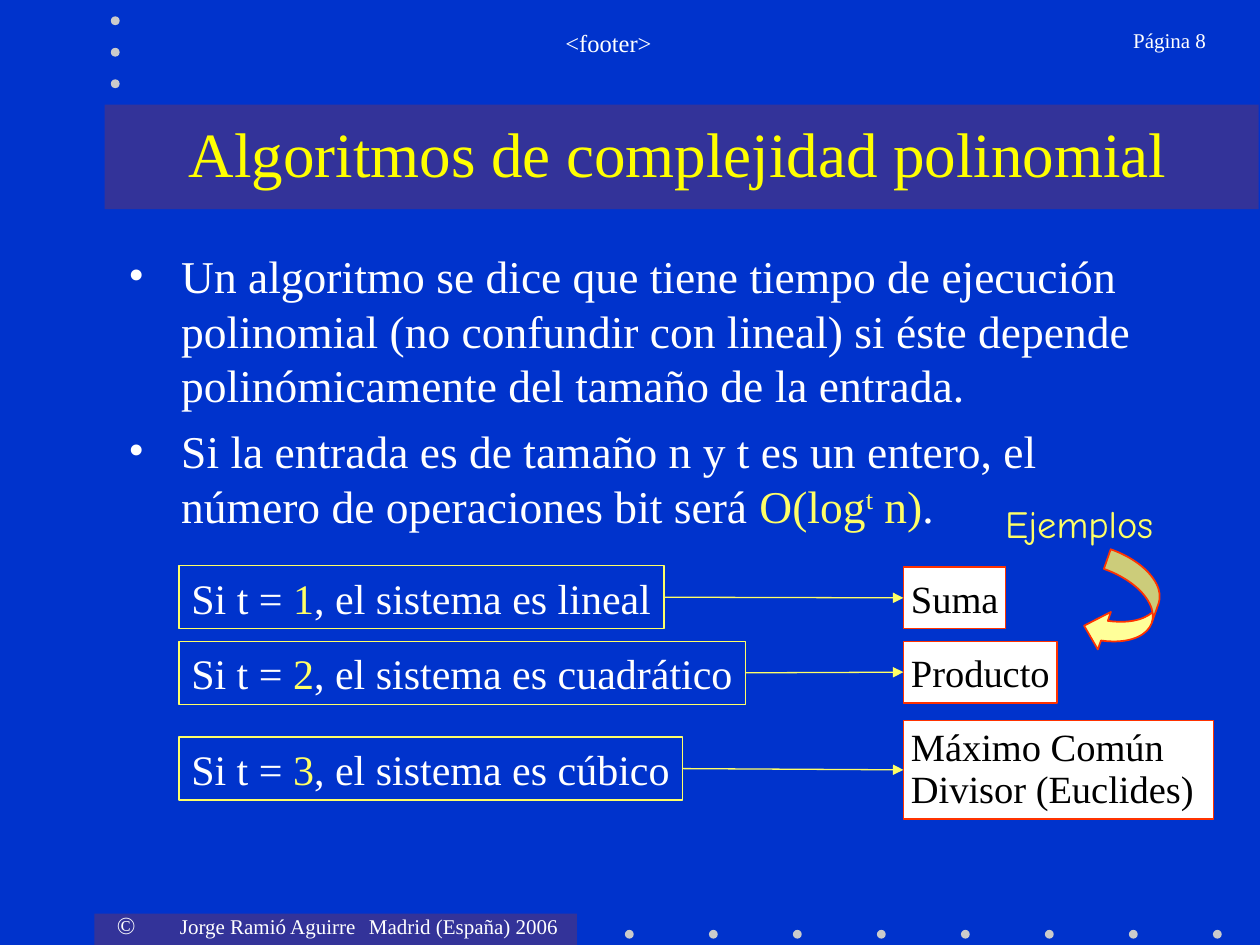
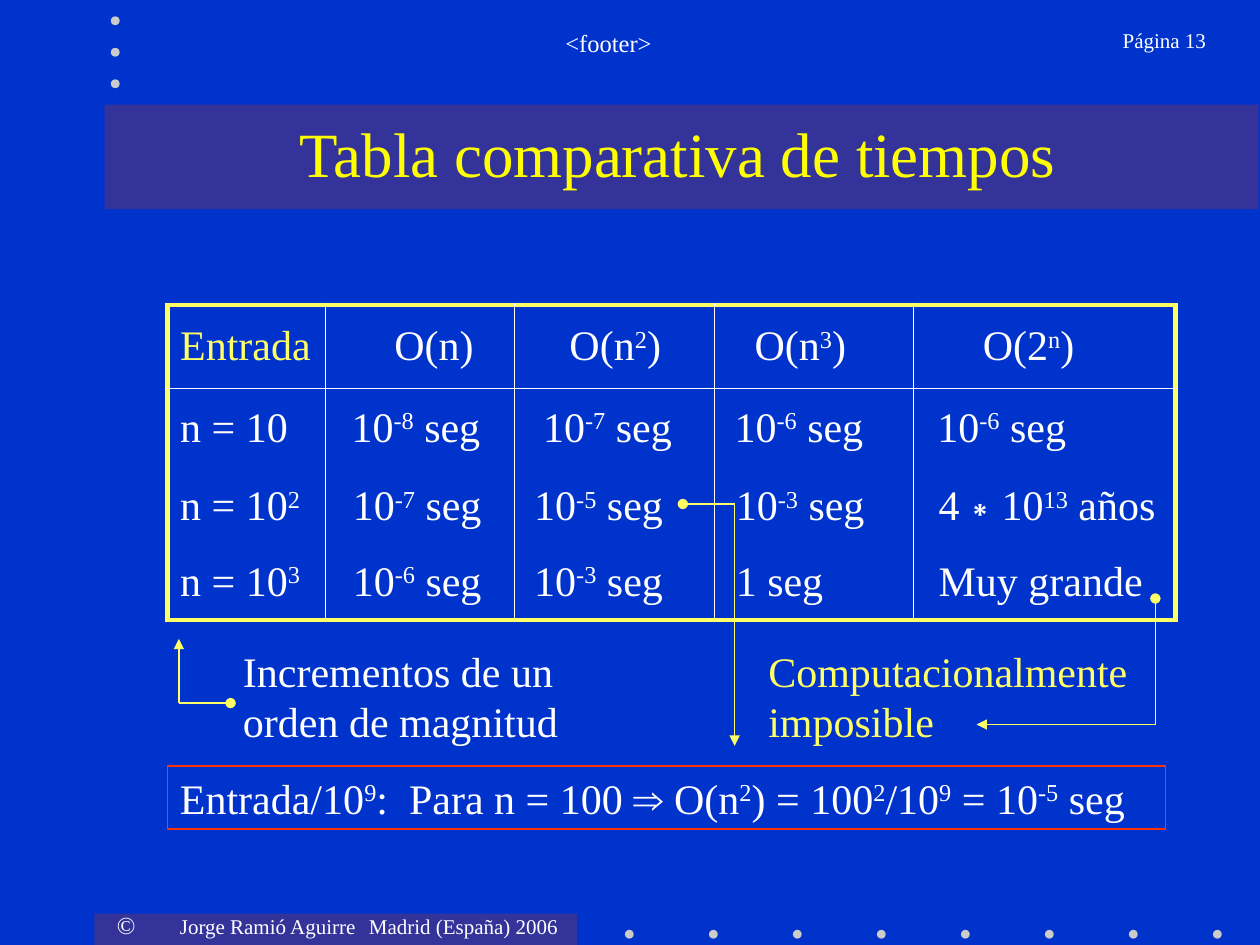
from dataclasses import dataclass
from typing import Optional

import lxml.etree
import pptx
import pptx.dml.color
import pptx.enum.shapes
import pptx.enum.text
import pptx.oxml.ns
import pptx.util

Inches = pptx.util.Inches
Pt = pptx.util.Pt
Shape = pptx.enum.shapes.MSO_SHAPE
Align = pptx.enum.text.PP_ALIGN
Anchor = pptx.enum.text.MSO_ANCHOR
qn = pptx.oxml.ns.qn

BLUE, BAND, DOT = "0033CC", "333399", "CBCBCB"
WHITE, BLACK, RED = "FFFFFF", "000000", "FF3300"
YELLOW, TITLE_YELLOW, ARROW_YELLOW = "FFFF66", "FFFF00", "FFFF99"
SERIF, SYMBOL, COMIC = "Times New Roman", "Arial", "Comic Neue"


@dataclass(frozen=True)
class Span:
    """Text in which ^...^ marks a superscript; unset fields follow the style."""
    text: str
    colour: Optional[str] = None
    font: Optional[str] = None
    size: Optional[float] = None


@dataclass(frozen=True)
class Style:
    size: float = 24
    colour: str = WHITE
    font: str = SERIF
    align: Align = Align.LEFT
    anchor: Anchor = Anchor.TOP
    insets: tuple = (0.1, 0.05, 0.1, 0.05)
    wrap: bool = True
    line_spacing: Optional[float] = None


@dataclass(frozen=True)
class Case:
    degree: str
    kind: str
    box: tuple
    example: list
    example_box: tuple


@dataclass(frozen=True)
class TimeRow:
    height: float
    cells: list
    insets: tuple


def rgb(colour: str) -> pptx.dml.color.RGBColor:
    return pptx.dml.color.RGBColor.from_string(colour)


def add_xml(parent, tag: str, **attributes: str):
    child = lxml.etree.SubElement(parent, qn(tag))
    for name, value in attributes.items():
        child.set(name, value)
    return child


# Text

def set_font(font, name: str, size: float, colour: str) -> None:
    font.name, font.size = name, Pt(size)
    font.color.rgb = rgb(colour)


def write_paragraph(para, spans: list, style: Style) -> None:
    para.alignment = style.align
    if style.line_spacing:
        para.line_spacing = style.line_spacing
    set_font(para.font, style.font, style.size, style.colour)
    for span in spans:
        for index, piece in enumerate(span.text.split("^")):
            if not piece:
                continue
            run = para.add_run()
            run.text = piece
            set_font(run.font, span.font or style.font, span.size or style.size,
                     span.colour or style.colour)
            if index % 2:
                run._r.get_or_add_rPr().set("baseline", "30000")


def write_text(shape, paragraphs: list, style: Style) -> None:
    frame = shape.text_frame
    frame.word_wrap = style.wrap
    frame.vertical_anchor = style.anchor
    (frame.margin_left, frame.margin_top,
     frame.margin_right, frame.margin_bottom) = map(Inches, style.insets)
    for index, spans in enumerate(paragraphs):
        para = frame.add_paragraph() if index else frame.paragraphs[0]
        write_paragraph(para, spans, style)


def add_text(page, box: tuple, paragraphs: list, style: Style):
    shape = page.shapes.add_textbox(*map(Inches, box))
    write_text(shape, paragraphs, style)
    return shape


def indent(para, left: float, first: float):
    properties = para._p.get_or_add_pPr()
    properties.set("marL", str(Inches(left)))
    properties.set("indent", str(Inches(first)))
    return properties


def add_bullet(para) -> None:
    para.space_before = Pt(6.5)
    properties = indent(para, 0.42, -0.42)
    defaults = properties.find(qn("a:defRPr"))
    add_xml(add_xml(properties, "a:buClr"), "a:srgbClr", val=WHITE)
    add_xml(properties, "a:buFont", typeface=SERIF)
    add_xml(properties, "a:buChar", char="•")
    properties.append(defaults)


def add_tabs(para, stops: tuple) -> None:
    properties = para._p.get_or_add_pPr()
    defaults = properties.find(qn("a:defRPr"))
    tabs = add_xml(properties, "a:tabLst")
    for stop in stops:
        add_xml(tabs, "a:tab", pos=str(Inches(stop)), algn="l")
    properties.append(defaults)


# Shapes and lines

def add_shape(page, kind: Shape, box: tuple, fill: Optional[str] = None,
              line: Optional[str] = None, width: float = 0.75):
    shape = page.shapes.add_shape(kind, *map(Inches, box))
    shape.shadow.inherit = False
    if fill:
        shape.fill.solid()
        shape.fill.fore_color.rgb = rgb(fill)
    else:
        shape.fill.background()
    if line:
        shape.line.color.rgb = rgb(line)
        shape.line.width = Pt(width)
    else:
        shape.line.fill.background()
    return shape


def add_line(page, start: tuple, end: tuple, head: str = "", tail: str = ""):
    line = page.shapes.add_connector(pptx.enum.shapes.MSO_CONNECTOR.STRAIGHT,
                                     *map(Inches, start + end))
    line.line.color.rgb = rgb(YELLOW)
    line.line.width = Pt(0.75)
    outline = line.line._get_or_add_ln()
    for tag, kind in (("a:headEnd", head), ("a:tailEnd", tail)):
        if kind:
            add_xml(outline, tag, type=kind)
    add_xml(line._element.spPr, "a:effectLst")
    return line


def add_bent_arrow(page, start: tuple, corner: tuple, end: tuple) -> None:
    add_line(page, start, corner, head="oval")
    add_line(page, corner, end, tail="triangle")


# Parts shared by the slides

def add_page(deck, title: str, number: int):
    page = deck.slides.add_slide(deck.slide_layouts[6])
    page.background.fill.solid()
    page.background.fill.fore_color.rgb = rgb(BLUE)
    add_shape(page, Shape.RECTANGLE, (0.75, 7.25, 3.83, 0.25), BAND)
    add_shape(page, Shape.RECTANGLE, (0.83, 0.83, 9.16, 0.83), BAND)
    dots = [(4.96 + column * 2 / 3, 7.38) for column in range(8)]
    dots += [(0.88, 0.13 + row * 0.25) for row in range(3)]
    for left, top in dots:
        add_shape(page, Shape.OVAL, (left, top, 0.07, 0.07), DOT)

    credit = add_text(page, (0.72, 7.17, 3.85, 0.34),
                      [[Span("©", size=14),
                        Span("\tJorge Ramió Aguirre\tMadrid (España) 2006")]],
                      Style(12, insets=(0.1, 0.05, 0, 0.05), wrap=False))
    credit_para = credit.text_frame.paragraphs[0]
    indent(credit_para, 0.11, 0)
    add_tabs(credit_para, (0.33, 2.14))
    add_text(page, (1.58, 0.17, 6.5, 0.5), [[Span("<footer>")]],
             Style(14, align=Align.CENTER))
    add_text(page, (8.3, 0.17, 1.37, 0.5), [[Span(f"Página {number}")]],
             Style(12, align=Align.RIGHT))
    add_text(page, (0.92, 0.83, 8.92, 0.75), [[Span(title)]],
             Style(36, TITLE_YELLOW, align=Align.CENTER, anchor=Anchor.MIDDLE))
    return page


# Slide: polynomial algorithms

CASES = [
    Case("1", "lineal", (1.42, 4.49, 3.85, 0.5), ["Suma"], (7.17, 4.5, 0.81, 0.49)),
    Case("2", "cuadrático", (1.42, 5.09, 4.5, 0.5), ["Producto"],
         (7.17, 5.09, 1.22, 0.49)),
    Case("3", "cúbico", (1.42, 5.85, 4, 0.5), ["Máximo Común", "Divisor (Euclides)"],
         (7.17, 5.72, 2.46, 0.78)),
]


def add_case(page, case: Case) -> None:
    label = add_shape(page, Shape.RECTANGLE, case.box, line=YELLOW)
    write_text(label, [[Span("Si t = "), Span(case.degree, YELLOW),
                        Span(f", el sistema es {case.kind}")]],
               Style(anchor=Anchor.MIDDLE, wrap=False))
    example = add_shape(page, Shape.RECTANGLE, case.example_box, WHITE, RED)
    several = len(case.example) > 1
    write_text(example, [[Span(text)] for text in case.example],
               Style(22, BLACK, anchor=Anchor.MIDDLE, wrap=several,
                     insets=(0.06, 0.06, 0.02 if several else 0.06, 0.06),
                     line_spacing=0.9 if several else None))
    arrow = add_line(page, (0, 0), (1, 1), tail="triangle")
    arrow.begin_connect(label, 3)
    arrow.end_connect(example, 1)


def build_polynomial_page(deck) -> None:
    page = add_page(deck, "Algoritmos de complejidad polinomial", 8)
    body = add_text(page, (0.92, 1.92, 8.5, 2.5), [
        [Span("Un algoritmo se dice que tiene tiempo de ejecución polinomial "
              "(no confundir con lineal) si éste depende polinómicamente del "
              "tamaño de la entrada.")],
        [Span("Si la entrada es de tamaño n y t es un entero, el número de "
              "operaciones bit será "), Span("O(log^t^ n)", YELLOW), Span(".")],
    ], Style(26))
    for para in body.text_frame.paragraphs:
        add_bullet(para)
    for case in CASES:
        add_case(page, case)
    add_text(page, (7.67, 3.92, 1.58, 0.42), [[Span("Ejemplos")]],
             Style(22, YELLOW, COMIC, Align.RIGHT, insets=(0.1, 0.05, 0.1, 0)))
    curve = add_shape(page, Shape.CURVED_LEFT_ARROW, (8.67, 4.42, 0.5, 0.8),
                      ARROW_YELLOW, RED, 1)
    curve.rotation = 19.2
    for index, value in enumerate((0.33, 0.63, 0.33)):
        curve.adjustments[index] = value


# Slide: table of times

COLUMN_WIDTHS = (1.25, 1.5, 1.59, 1.58, 2.08)
TIMES = [
    TimeRow(0.66, ["Entrada", "O(n)", "O(n^2^)", "O(n^3^)", "O(2^n^)"],
            (0.1, 0.55, 0.44, 0.32, 0.55)),
    TimeRow(0.64, ["n = 10", "10^-8^ seg", "10^-7^ seg", "10^-6^ seg", "10^-6^ seg"],
            (0.1, 0.21, 0.23, 0.16, 0.19)),
    TimeRow(0.6, ["n = 10^2^", "10^-7^ seg", "10^-5^ seg", "10^-3^ seg",
                  "4∗10^13^ años"], (0.1, 0.22, 0.16, 0.17, 0.2)),
    TimeRow(0.6, ["n = 10^3^", "10^-6^ seg", "10^-3^ seg", "1 seg", "Muy grande"],
            (0.1, 0.22, 0.16, 0.17, 0.2)),
]


def symbol_spans(text: str, symbol: str, colour: str = WHITE) -> list:
    before, found, after = text.partition(symbol)
    return [Span(before, colour), Span(found, colour, SYMBOL), Span(after, colour)]


def set_borders(cell, row: int, column: int) -> None:
    last_row, last_column = len(TIMES) - 1, len(COLUMN_WIDTHS) - 1
    outer, inner, none = (YELLOW, 3), (WHITE, 0.75), None
    borders = {
        "a:lnL": inner if column else outer,
        "a:lnR": inner if column < last_column else outer,
        "a:lnT": {0: outer, 1: inner}.get(row, none),
        "a:lnB": {0: inner, last_row: outer}.get(row, none),
    }
    properties = cell._tc.get_or_add_tcPr()
    for tag, border in borders.items():
        line = add_xml(properties, tag)
        if border:
            line.set("w", str(Pt(border[1])))
            add_xml(add_xml(line, "a:solidFill"), "a:srgbClr", val=border[0])
        else:
            add_xml(line, "a:noFill")


def add_times_table(page) -> None:
    frame = page.shapes.add_table(
        len(TIMES), len(COLUMN_WIDTHS), Inches(1.33), Inches(2.42),
        Inches(sum(COLUMN_WIDTHS)), Inches(sum(row.height for row in TIMES)))
    table = frame.table
    table.first_row = table.horz_banding = False
    for column, width in enumerate(COLUMN_WIDTHS):
        table.columns[column].width = Inches(width)
    for row, times in enumerate(TIMES):
        table.rows[row].height = Inches(times.height)
        for column, (text, inset) in enumerate(zip(times.cells, times.insets)):
            cell = table.cell(row, column)
            cell.vertical_anchor = Anchor.MIDDLE
            cell.margin_left, cell.margin_right = Inches(inset), 0
            colour = YELLOW if row == column == 0 else WHITE
            write_paragraph(cell.text_frame.paragraphs[0],
                            symbol_spans(text, "∗", colour), Style(colour=colour))
            set_borders(cell, row, column)
            cell.fill.background()


def build_times_page(deck) -> None:
    page = add_page(deck, "Tabla comparativa de tiempos", 13)
    add_times_table(page)
    formula = add_shape(page, Shape.RECTANGLE, (1.33, 6.08, 7.92, 0.5), line=RED)
    write_text(formula, [symbol_spans(
        "Entrada/10^9^:  Para n = 100 ⇒ O(n^2^) = 100^2^/10^9^ = 10^-5^ seg", "⇒")],
        Style(anchor=Anchor.MIDDLE))
    for left, width, text, colour in (
            (1.83, 2.75, "Incrementos de un orden de magnitud", WHITE),
            (6, 3.17, "Computacionalmente imposible", YELLOW)):
        add_text(page, (left, 5.07, width, 0.85), [[Span(text)]],
                 Style(colour=colour, insets=(0.1, 0.05, 0.1, 0)))
    add_bent_arrow(page, (5.42, 4), (5.83, 4), (5.83, 5.92))
    add_bent_arrow(page, (1.83, 5.58), (1.42, 5.58), (1.42, 5.07))
    add_bent_arrow(page, (9.17, 4.75), (9.17, 5.75), (7.75, 5.75))


def main() -> None:
    deck = pptx.Presentation()
    deck.slide_width, deck.slide_height = Inches(10), Inches(7.5)
    build_polynomial_page(deck)
    build_times_page(deck)
    deck.save("out.pptx")


if __name__ == "__main__":
    main()
